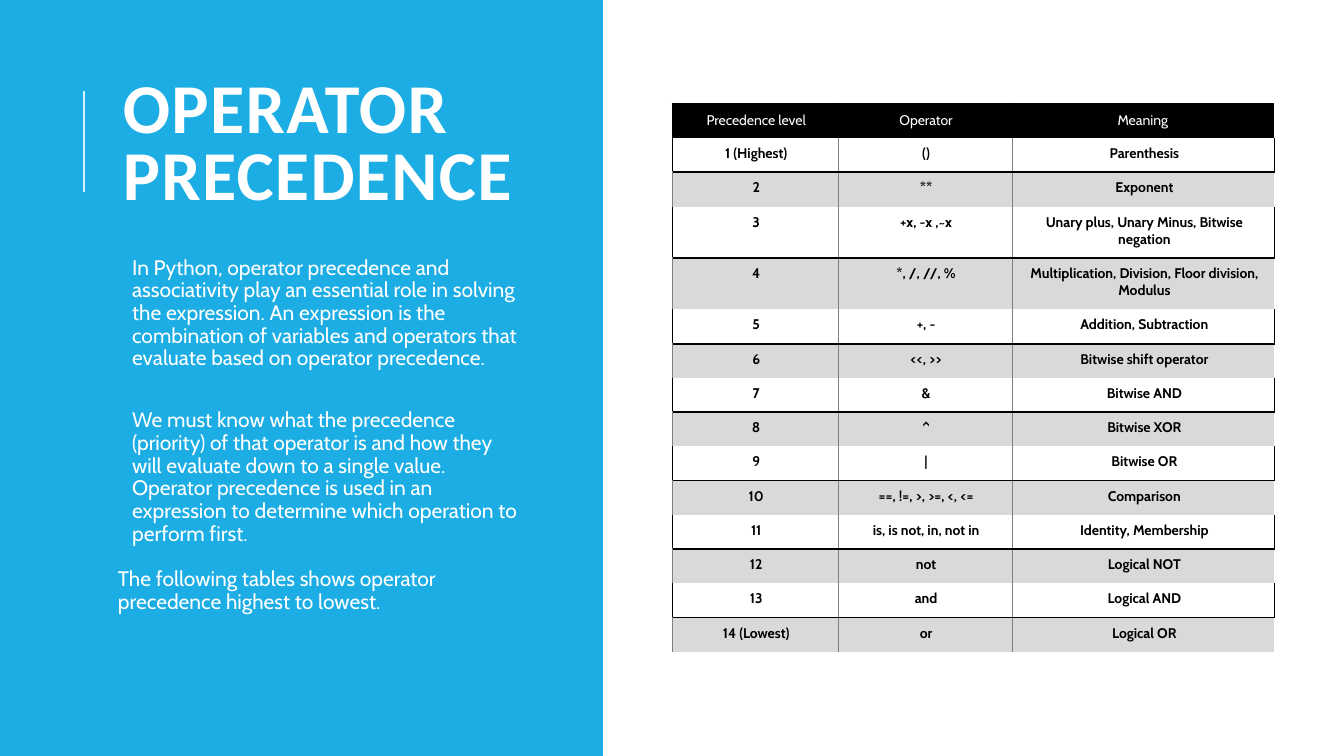
"""Build the operator precedence slide: an explanation beside a table."""
from lxml import etree
from pptx import Presentation
from pptx import util as u
from pptx.dml.color import RGBColor
from pptx.enum import shapes, text
from pptx.oxml.ns import qn

TITLE = "OPERATOR PRECEDENCE"
BODY = [
    ("In Python, operator precedence and associativity play an essential role in solving "
     "the expression. An expression is the combination of variables and operators that "
     "evaluate based on operator precedence.", {"indent": 14, "before": 2, "after": 4}),
    ("We must know what the precedence (priority) of that operator is and how they will "
     "evaluate down to a single value. Operator precedence is used in an expression to "
     "determine which operation to perform first.", {"indent": 14, "before": 24, "after": 4}),
    ("The following tables shows operator precedence highest to lowest.",
     {"before": 12, "after": 2}),
]
ROWS = [
    ("Precedence level", "Operator", "Meaning "),
    ("1 (Highest)", "()", "Parenthesis"),
    ("2", "**", "Exponent"),
    ("3", "+x, -x ,~x", "Unary plus, Unary Minus, Bitwise negation"),
    ("4", "*, /, //, %", "Multiplication, Division, Floor division, Modulus"),
    ("5", "+, -", "Addition, Subtraction"),
    ("6", "<<, >>", "Bitwise shift operator"),
    ("7", "&", "Bitwise AND"),
    ("8", "^", "Bitwise XOR"),
    ("9", "|", "Bitwise OR"),
    ("10", "==, !=, >, >=, <, <=", "Comparison"),
    ("11", "is, is not, in, not in", "Identity, Membership"),
    ("12", "not", "Logical NOT"),
    ("13", "and", "Logical AND"),
    ("14 (Lowest)", "or", "Logical OR"),
]
COLUMN_WIDTHS = (164, 173, 260)
ROW_HEIGHT, TALL_ROW_HEIGHT = 34, 51
TALL_ROWS = (3, 4)

BLUE = RGBColor(0x1C, 0xAD, 0xE4)
PALE_BLUE = RGBColor(0xD2, 0xEF, 0xFA)
WHITE = RGBColor(0xFF, 0xFF, 0xFF)
BLACK = RGBColor(0, 0, 0)
LIGHT_GREY = RGBColor(0xD9, 0xD9, 0xD9)
GREY = RGBColor(0x80, 0x80, 0x80)
THICK, THIN = (BLACK, 1.5), (GREY, 0.5)
PLAIN_TABLE_STYLE = "{2D5ABB26-0587-4C30-8999-92F81FD0307C}"


def px(length):
    """Turn px, at 100 to the inch, into EMU."""
    return u.Emu(length * 9144)


def write(paragraph, content, size, font="Cabin", color=WHITE, bold=False, align=None,
          line=None, before=0, after=0, indent=0, tracking=None):
    """Put one formatted run into a paragraph."""
    run = paragraph.add_run()
    run.text = content
    run.font.size, run.font.name, run.font.bold = u.Pt(size), font, bold
    run.font.color.rgb = color
    paragraph.alignment, paragraph.line_spacing = align, line
    paragraph.space_before, paragraph.space_after = u.Pt(before), u.Pt(after)
    if indent:
        paragraph._p.get_or_add_pPr().set("marL", str(px(indent)))
    if tracking:
        run._r.get_or_add_rPr().set("spc", str(tracking * 100))


def add_text_frame(slide, box, inset_x, inset_y, anchor):
    """Add a wrapping text box and return its frame."""
    frame = slide.shapes.add_textbox(*map(px, box)).text_frame
    frame.word_wrap, frame.vertical_anchor = True, anchor
    frame.margin_left = frame.margin_right = px(inset_x)
    frame.margin_top = frame.margin_bottom = px(inset_y)
    return frame


def set_borders(cell, left=None, right=None, top=None, bottom=None):
    """Draw the given (color, points) borders and hide the others."""
    properties = cell._tc.get_or_add_tcPr()
    for tag, border in (("lnL", left), ("lnR", right), ("lnT", top), ("lnB", bottom)):
        line = etree.SubElement(properties, qn(f"a:{tag}"))
        if border:
            color, points = border
            line.set("w", str(u.Pt(points)))
            fill = etree.SubElement(line, qn("a:solidFill"))
            etree.SubElement(fill, qn("a:srgbClr"), val=str(color))
        else:
            etree.SubElement(line, qn("a:noFill"))


def cell_borders(row, column):
    """Return the borders for a header, white or grey cell."""
    first, last = column == 0, column == len(COLUMN_WIDTHS) - 1
    if row == 0:
        return {"left": THICK, "top": THICK, "right": None if last else THICK}
    if row % 2:
        return {"left": THICK if first else THIN, "right": THICK if last else THIN,
                "bottom": THICK}
    return {"left": THIN, "right": None if last else THIN, "top": THICK}


def add_precedence_table(slide):
    """Add the table with its banded rows."""
    heights = [TALL_ROW_HEIGHT if row in TALL_ROWS else ROW_HEIGHT for row in range(len(ROWS))]
    frame = slide.shapes.add_table(len(ROWS), len(COLUMN_WIDTHS), px(667), px(103),
                                   px(sum(COLUMN_WIDTHS)), px(sum(heights)))
    table = frame.table
    table._tbl.tblPr.find(qn("a:tableStyleId")).text = PLAIN_TABLE_STYLE
    for column, width in zip(table.columns, COLUMN_WIDTHS):
        column.width = px(width)
    for row, (values, height) in enumerate(zip(ROWS, heights)):
        table.rows[row].height = px(height)
        header = row == 0
        for column, value in enumerate(values):
            cell = table.cell(row, column)
            cell.margin_left = px(9)
            cell.margin_right = cell.margin_top = cell.margin_bottom = px(7)
            cell.vertical_anchor = text.MSO_ANCHOR.MIDDLE if header else text.MSO_ANCHOR.TOP
            set_borders(cell, **cell_borders(row, column))
            if row % 2:
                cell.fill.background()
            else:
                cell.fill.solid()
                cell.fill.fore_color.rgb = BLACK if header else LIGHT_GREY
            write(cell.text_frame.paragraphs[0], value, 10, bold=not header,
                  color=WHITE if header else BLACK, align=text.PP_ALIGN.CENTER)


def main():
    presentation = Presentation()
    presentation.slide_width, presentation.slide_height = px(1333), px(750)
    slide = presentation.slides.add_slide(presentation.slide_layouts[6])

    panel = slide.shapes.add_shape(shapes.MSO_SHAPE.RECTANGLE, 0, 0, px(598), px(750))
    panel.shadow.inherit = False
    panel.fill.solid()
    panel.fill.fore_color.rgb = BLUE
    panel.line.fill.background()

    title = add_text_frame(slide, (112, 64, 413, 164), 10, 5, text.MSO_ANCHOR.MIDDLE)
    write(title.paragraphs[0], TITLE, 50, font="Calibri", bold=True, line=0.8, tracking=1)

    rule = slide.shapes.add_connector(shapes.MSO_CONNECTOR.STRAIGHT,
                                      px(83), px(190), px(83), px(90))
    rule.line.color.rgb, rule.line.width = PALE_BLUE, u.Pt(1.5)
    etree.SubElement(rule._element.spPr, qn("a:effectLst"))

    body = add_text_frame(slide, (112, 250, 415, 430), 5, 5, text.MSO_ANCHOR.TOP)
    for index, (content, spacing) in enumerate(BODY):
        paragraph = body.add_paragraph() if index else body.paragraphs[0]
        write(paragraph, content, 15, line=0.9, **spacing)

    add_precedence_table(slide)
    presentation.save("out.pptx")


if __name__ == "__main__":
    main()
